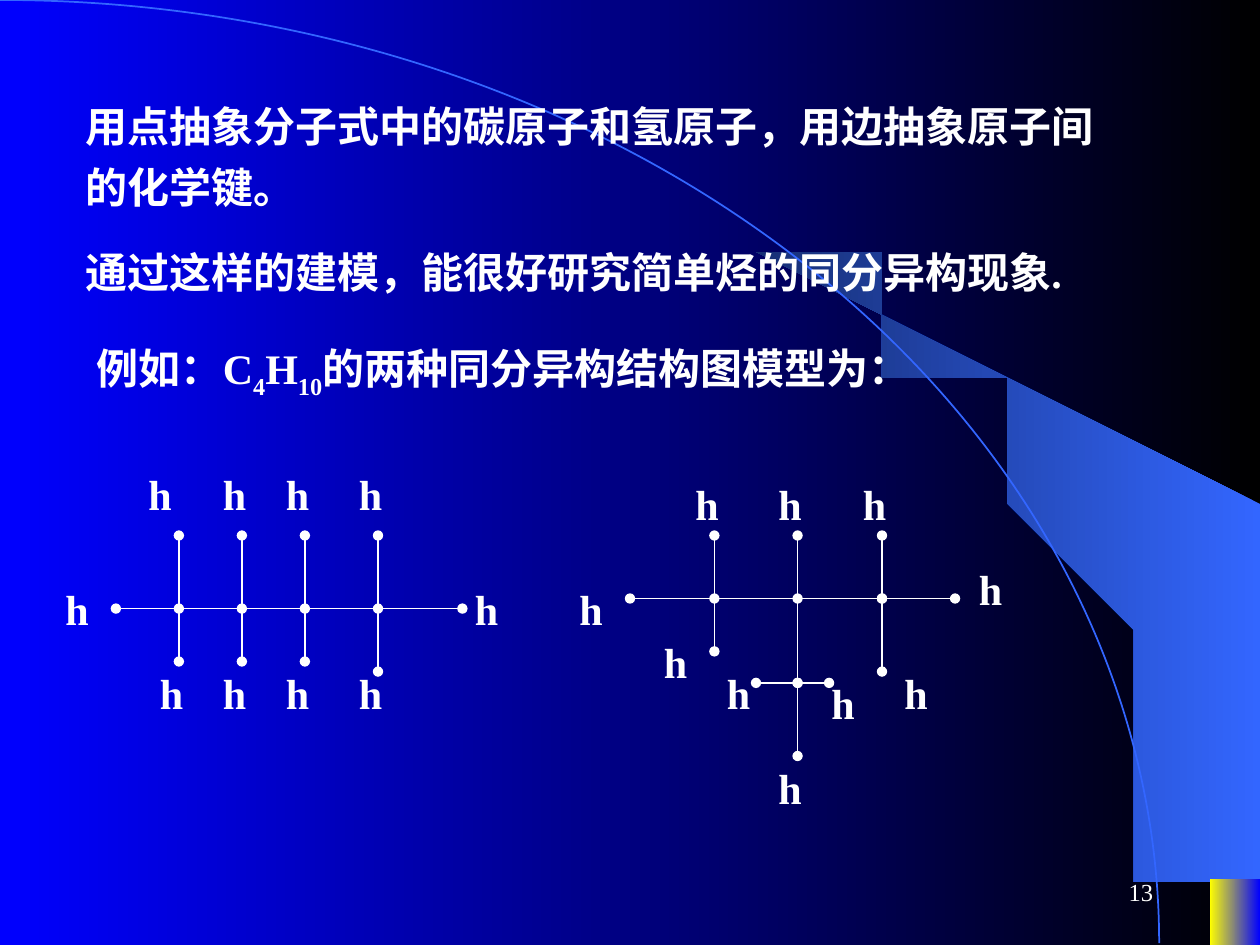
from dataclasses import dataclass

from lxml.etree import SubElement
from pptx import Presentation
from pptx.dml.color import RGBColor
from pptx.enum.shapes import MSO_CONNECTOR as Connector, MSO_SHAPE as Shape
from pptx.enum.text import MSO_ANCHOR as Anchor, MSO_AUTO_SIZE as AutoSize, PP_ALIGN as Align
from pptx.oxml.ns import qn
from pptx.util import Inches, Pt

FONT = "Times New Roman"
WHITE, BLACK, BLUE, SKY, NAVY, YELLOW = "FFFFFF", "000000", "0000FF", "3366FF", "172F75", "FFFF00"


@dataclass
class Bond:
    x1: float
    y1: float
    x2: float
    y2: float
    dots: bool = True


@dataclass
class Molecule:
    bonds: list[Bond]
    hydrogens: list[tuple[float, float]]


def color(value: str) -> RGBColor:
    return RGBColor.from_string(value)


def set_gradient(fill, right: str, left: str) -> None:
    fill.gradient()
    fill.gradient_angle = 180
    for stop, value, position in zip(fill.gradient_stops, (right, left), (0, 1)):
        stop.color.rgb = color(value)
        stop.position = position


def add_text(shapes, lines, left, top, width, height, size=24, bold=True, align=Align.LEFT,
             anchor=Anchor.TOP, spacing=None, hanging=0, fit=AutoSize.SHAPE_TO_FIT_TEXT):
    box = shapes.add_textbox(Inches(left), Inches(top), Inches(width), Inches(height))
    frame = box.text_frame
    frame.word_wrap = True
    frame.auto_size = fit
    frame.vertical_anchor = anchor
    for index, runs in enumerate(lines):
        paragraph = frame.paragraphs[0] if index == 0 else frame.add_paragraph()
        paragraph.alignment = align
        if spacing:
            paragraph.line_spacing = spacing
        if hanging:
            properties = paragraph._p.get_or_add_pPr()
            properties.set("marL", str(Inches(hanging)))
            properties.set("indent", str(-Inches(hanging)))
        for text, baseline in runs:
            run = paragraph.add_run()
            run.text = text
            run.font.name = FONT
            run.font.size = Pt(size)
            run.font.bold = bold
            run.font.color.rgb = color(WHITE)
            if baseline:
                run.font._element.set("baseline", str(baseline * 1000))
    return box


def add_bond(shapes, bond: Bond) -> None:
    line = shapes.add_connector(Connector.STRAIGHT, Inches(bond.x1), Inches(bond.y1),
                                Inches(bond.x2), Inches(bond.y2))
    line.line.color.rgb = color(WHITE)
    line.line.width = Pt(0.75)
    if bond.dots:
        outline = line.line._get_or_add_ln()
        for end in ("a:headEnd", "a:tailEnd"):
            SubElement(outline, qn(end), type="oval")
    SubElement(line._element.spPr, qn("a:effectLst"))


def add_molecule(slide, molecule: Molecule) -> None:
    shapes = slide.shapes.add_group_shape().shapes
    for bond in molecule.bonds:
        add_bond(shapes, bond)
    for left, top in molecule.hydrogens:
        add_text(shapes, [[("h", 0)]], left, top, 0.6, 0.5)


def chain(xs: list[float], y: float, plain: tuple[int, ...]) -> list[Bond]:
    return [Bond(start, y, end, y, index not in plain)
            for index, (start, end) in enumerate(zip(xs, xs[1:]))]


def add_backdrop(slide) -> None:
    set_gradient(slide.background.fill, BLACK, BLUE)

    points = [(9.2, 7.48), (9.99, 7.49), (9.99, 4.23), (5.89, 1.73), (6.24, 1.99), (6.53, 2.22),
              (6.85, 2.5), (7.16, 2.8), (7.62, 3.3), (8.03, 3.84), (8.32, 4.31), (8.58, 4.79),
              (8.78, 5.28), (8.93, 5.72), (9.03, 6.09), (9.13, 6.56), (9.17, 6.96)]
    builder = slide.shapes.build_freeform(*points[0], scale=Inches(1))
    builder.add_line_segments(points[1:], close=True)
    wing = builder.convert_to_shape()
    set_gradient(wing.fill, SKY, NAVY)
    wing.line.fill.background()

    arc = slide.shapes.add_shape(Shape.ARC, Inches(-9.2), 0, Inches(18.4), Inches(14.97))
    arc.fill.background()
    arc.line.color.rgb = color(SKY)
    arc.line.width = Pt(1)

    corner = slide.shapes.add_shape(Shape.RECTANGLE, Inches(9.6), Inches(6.98),
                                    Inches(0.4), Inches(0.52))
    set_gradient(corner.fill, BLUE, YELLOW)
    corner.line.fill.background()
    for shape in (wing, arc, corner):
        shape.shadow.inherit = False


def main() -> None:
    presentation = Presentation()
    presentation.slide_width, presentation.slide_height = Inches(10), Inches(7.5)
    slide = presentation.slides.add_slide(presentation.slide_layouts[6])
    add_backdrop(slide)

    statements = [
        (0.58, 0.67, 1.06, [[("用点抽象分子式中的碳原子和氢原子，用边抽象原子间", 0)],
                            [("的化学键。", 0)]]),
        (0.58, 1.83, 0.58, [[("通过这样的建模，能很好研究简单烃的同分异构现象.", 0)]]),
        (0.67, 2.58, 0.65, [[("例如：C", 0), ("4", -25), ("H", 0), ("10", -25),
                             ("的两种同分异构结构图模型为：", 0)]]),
    ]
    for left, top, height, lines in statements:
        add_text(slide.shapes, lines, left, top, 9, height, spacing=1.2, hanging=0.5)

    butane_bottoms = {1.42: 5.25, 1.92: 5.25, 2.42: 5.25, 3: 5.33}
    butane = Molecule(
        chain([0.92, *butane_bottoms, 3.67], 4.83, plain=(1, 3))
        + [Bond(x, 4.25, x, bottom) for x, bottom in butane_bottoms.items()],
        [(x, 3.67) for x in (1.08, 1.67, 2.17, 2.75)]
        + [(x, 5.25) for x in (1.17, 1.67, 2.17, 2.75)]
        + [(0.42, 4.58), (3.67, 4.58)],
    )
    isobutane_bottoms = {5.67: 5.17, 6.33: 5.42, 7: 5.33}
    isobutane = Molecule(
        chain([5, *isobutane_bottoms, 7.58], 4.75, plain=(1,))
        + [Bond(x, 4.25, x, bottom) for x, bottom in isobutane_bottoms.items()]
        + [Bond(6, 5.42, 6.58, 5.42), Bond(6.33, 5.42, 6.33, 6)],
        [(x, 3.75) for x in (5.42, 6.08, 6.75)]
        + [(4.5, 4.58), (7.67, 4.42), (5.17, 5), (6.08, 6),
           (7.08, 5.25), (5.67, 5.25), (6.5, 5.33)],
    )
    for molecule in (butane, isobutane):
        add_molecule(slide, molecule)

    add_text(slide.shapes, [[("13", 0)]], 7.17, 6.83, 2.08, 0.5, size=14, bold=False,
             align=Align.RIGHT, anchor=Anchor.MIDDLE, fit=AutoSize.NONE)
    presentation.save("out.pptx")


if __name__ == "__main__":
    main()
